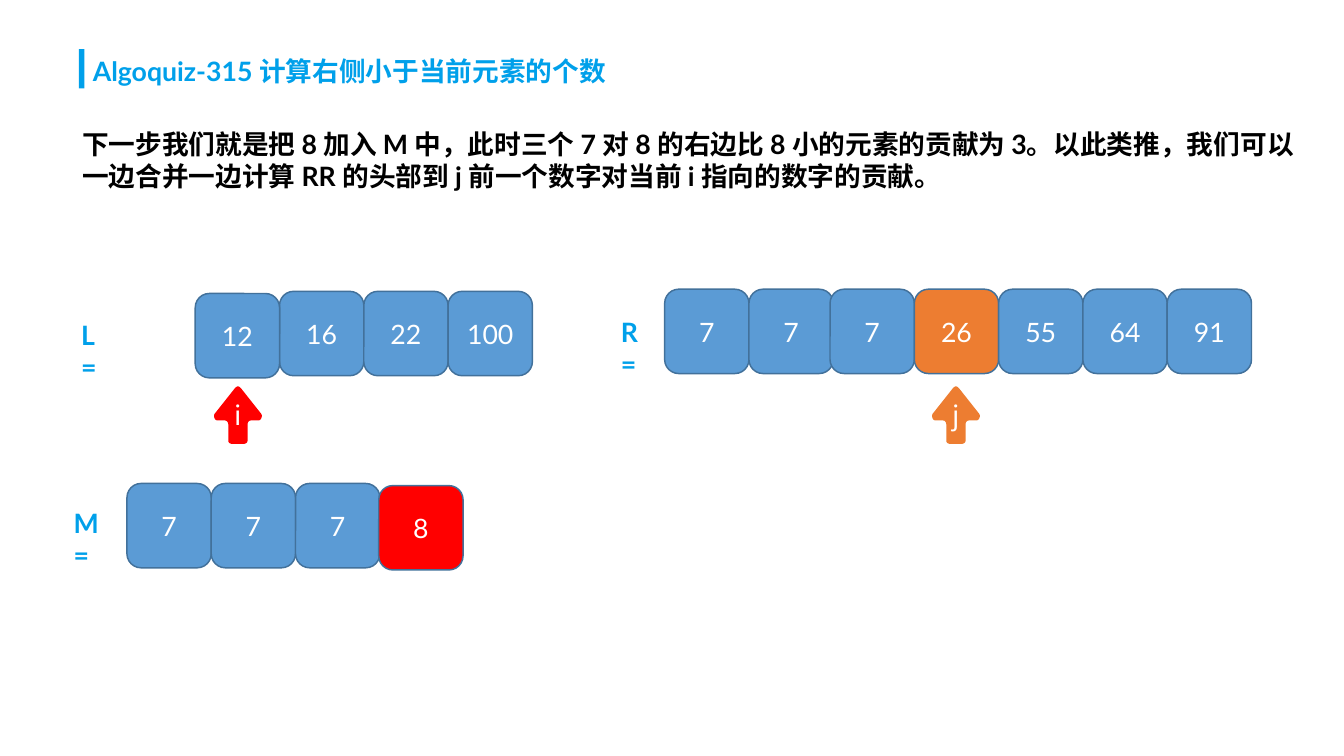
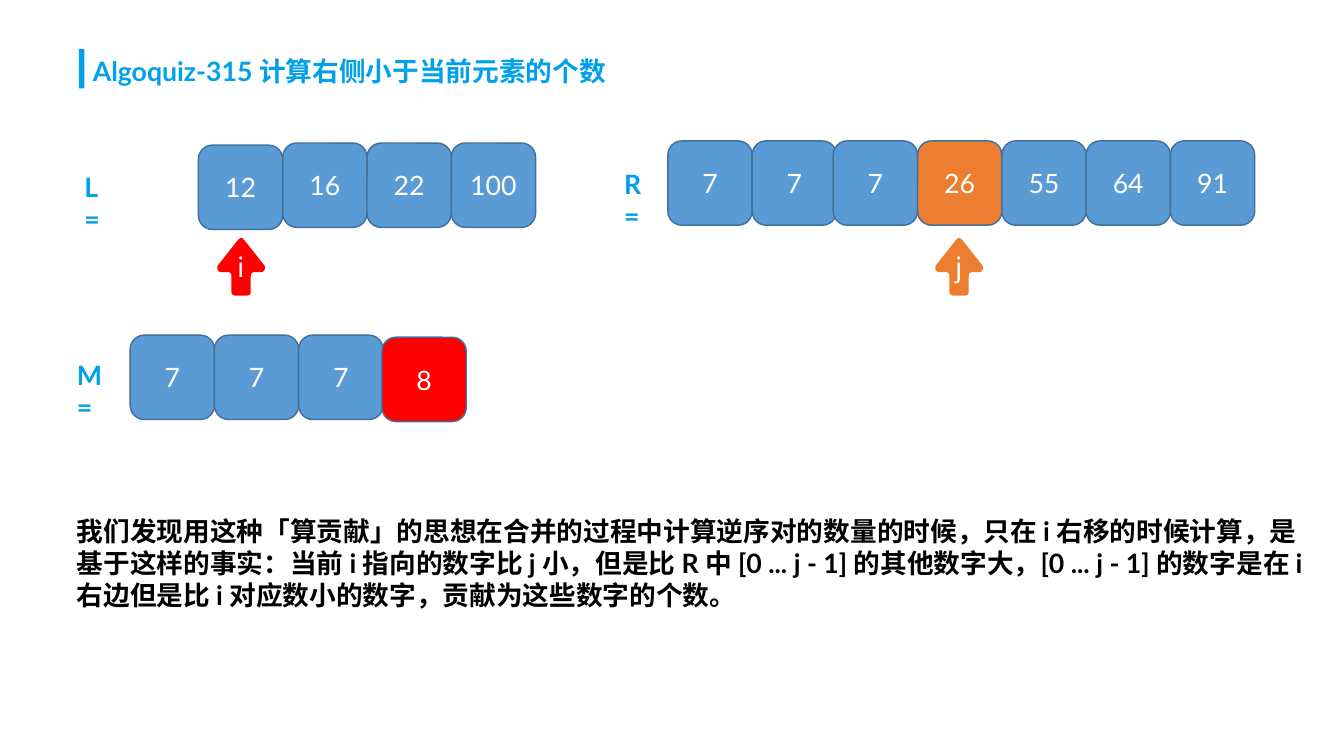
"""Build two slides that trace one merge step while counting smaller elements to the right."""
from dataclasses import dataclass

from lxml.etree import SubElement
from pptx import Presentation
from pptx.dml.color import RGBColor
from pptx.enum.shapes import MSO_SHAPE as Shape
from pptx.enum.text import MSO_ANCHOR as Anchor, MSO_AUTO_SIZE as AutoSize, PP_ALIGN as Align
from pptx.oxml.ns import qn
from pptx.util import Inches, Pt

BLUE, CELL_BLUE, CELL_EDGE = "00A0EA", "5B9BD5", "42719B"
ORANGE, RED, WHITE, BLACK = "ED7D31", "FF0000", "FFFFFF", "000000"
LATIN_FONT, CHINESE_FONT = "Lato", "Noto Sans CJK SC"
CELL_SIZE = 0.79
INSET = 0.05
CURVE_STEPS = 6
TITLE = "Algoquiz-315 计算右侧小于当前元素的个数"


@dataclass(frozen=True)
class Label:
    """A bold text box."""
    text: str
    left: float
    top: float
    width: float
    height: float
    color: str = BLUE


@dataclass(frozen=True)
class CellRun:
    """Adjoining array cells that share one top edge and one fill."""
    values: tuple
    left: float
    top: float
    fill: str = CELL_BLUE


@dataclass(frozen=True)
class Pointer:
    """An index arrow under a cell, placed by the middle of its tip."""
    name: str
    center: float
    top: float
    fill: str


@dataclass(frozen=True)
class Page:
    """The explanation of a slide and the offset of its array figure."""
    explanation: Label
    shift_x: float
    shift_y: float


ARRAY_NAMES = (
    Label("L=", 0.71, 2.94, 0.33, 0.4),
    Label("R=", 5.77, 2.91, 0.37, 0.4),
    Label("M=", 0.64, 4.7, 0.45, 0.4),
)
CELL_RUNS = (
    CellRun(("16", "22", "100"), 2.62, 2.73),
    CellRun(("12",), 1.83, 2.75),
    CellRun(("7", "7"), 6.23, 2.71),
    CellRun(("7",), 7.78, 2.71),
    CellRun(("26",), 8.57, 2.71, ORANGE),
    CellRun(("55", "64", "91"), 9.36, 2.71),
    CellRun(("7", "7", "7"), 1.19, 4.53),
    CellRun(("8",), 3.55, 4.55, RED),
)
POINTERS = (Pointer("i", 2.23, 3.62, RED), Pointer("j", 8.96, 3.62, ORANGE))
ARROW_CORNERS = (
    ((0.05, 0.54), (0.07, 0.54), (0.09, 0.53), (0.09, 0.51)),
    ((0.09, 0.36), (0.09, 0.34), (0.1, 0.32), (0.12, 0.32)),
    ((0.19, 0.32), (0.22, 0.32), (0.23, 0.28), (0.22, 0.26)),
    ((0.03, 0.02), (0.02, 0.01), (0.01, 0), (0, 0)),
)
PAGES = (
    Page(Label(
        "下一步我们就是把 8 加入 M 中，此时三个 7 对 8 的右边比 8 小的元素的贡献为 3。"
        "以此类推，我们可以一边合并一边计算 RR 的头部到 j 前一个数字对当前 i 指向的数字的贡献。",
        0.72, 1.15, 11.65, 0.71, BLACK), 0, 0),
    Page(Label(
        "我们发现用这种「算贡献」的思想在合并的过程中计算逆序对的数量的时候，只在 i 右移的时候计算，"
        "是基于这样的事实：当前 i 指向的数字比 j 小，但是比 R 中 [0 ... j - 1] 的其他数字大，"
        "[0 ... j - 1] 的数字是在 i 右边但是比 i 对应数小的数字，贡献为这些数字的个数。",
        0.67, 4.77, 11.65, 1.01, BLACK), 0.03, -1.39),
)


def rgb(color: str) -> RGBColor:
    """Turn a hex string into a colour."""
    return RGBColor.from_string(color)


def write(shape, text: str, color: str, bold: bool = False, font_name: str = LATIN_FONT) -> None:
    """Add one run of text to a shape and set its margins."""
    frame = shape.text_frame
    frame.word_wrap = True
    frame.margin_left = frame.margin_right = Inches(INSET)
    frame.margin_top = frame.margin_bottom = Inches(INSET)
    run = frame.paragraphs[0].add_run()
    run.text = text
    font = run.font
    font.name, font.size, font.bold = font_name, Pt(18), bold
    font.color.rgb = rgb(color)
    SubElement(run._r.get_or_add_rPr(), qn("a:ea")).set("typeface", CHINESE_FONT)


def center_text(shape) -> None:
    """Centre the text of a shape both ways."""
    shape.text_frame.vertical_anchor = Anchor.MIDDLE
    shape.text_frame.paragraphs[0].alignment = Align.CENTER


def paint(shape, fill: str, edge: str | None = None) -> None:
    """Give a shape a flat fill and an optional thin outline."""
    shape.shadow.inherit = False
    shape.fill.solid()
    shape.fill.fore_color.rgb = rgb(fill)
    if edge:
        shape.line.color.rgb = rgb(edge)
        shape.line.width = Pt(1)
    else:
        shape.line.fill.background()


def add_label(slide, label: Label, shift_x: float = 0, shift_y: float = 0) -> None:
    """Draw a bold text box."""
    box = slide.shapes.add_textbox(Inches(label.left + shift_x), Inches(label.top + shift_y),
                                   Inches(label.width), Inches(label.height))
    write(box, label.text, label.color, bold=True)
    box.text_frame.auto_size = AutoSize.SHAPE_TO_FIT_TEXT


def add_cells(slide, run: CellRun, shift_x: float, shift_y: float) -> None:
    """Draw the cells of a run side by side."""
    for index, value in enumerate(run.values):
        cell = slide.shapes.add_shape(
            Shape.ROUNDED_RECTANGLE, Inches(run.left + index * CELL_SIZE + shift_x),
            Inches(run.top + shift_y), Inches(CELL_SIZE), Inches(CELL_SIZE))
        paint(cell, run.fill, CELL_EDGE)
        write(cell, value, WHITE)
        center_text(cell)


def curve_points(corner: tuple) -> list[tuple[float, float]]:
    """Sample a cubic curve at equal parameter steps."""
    points = []
    for step in range(CURVE_STEPS + 1):
        t = step / CURVE_STEPS
        weights = ((1 - t) ** 3, 3 * t * (1 - t) ** 2, 3 * t ** 2 * (1 - t), t ** 3)
        points.append(tuple(sum(weight * point[axis] for weight, point in zip(weights, corner))
                            for axis in (0, 1)))
    return points


def add_pointer(slide, pointer: Pointer, shift_x: float, shift_y: float) -> None:
    """Draw a rounded up arrow by mirroring its right half."""
    right_half = [point for corner in ARROW_CORNERS for point in curve_points(corner)]
    left_half = [(-x, y) for x, y in reversed(right_half[:-1])]
    outline = [(Inches(pointer.center + shift_x + x), Inches(pointer.top + shift_y + y))
               for x, y in right_half + left_half]
    builder = slide.shapes.build_freeform(*outline[0])
    builder.add_line_segments(outline[1:], close=True)
    arrow = builder.convert_to_shape()
    paint(arrow, pointer.fill)
    write(arrow, pointer.name, WHITE, font_name=CHINESE_FONT)
    center_text(arrow)


def add_title(slide) -> None:
    """Draw the title and the bar beside it."""
    bar = slide.shapes.add_shape(Shape.RECTANGLE, Inches(0.74), Inches(0.46),
                                 Inches(0.05), Inches(0.37))
    paint(bar, BLUE)
    add_label(slide, Label(TITLE, 0.82, 0.46, 6.19, 0.71))


def add_page(presentation, page: Page) -> None:
    """Add a slide with its title, array figure and explanation."""
    slide = presentation.slides.add_slide(presentation.slide_layouts[6])
    add_title(slide)
    for draw, items in ((add_label, ARRAY_NAMES), (add_cells, CELL_RUNS), (add_pointer, POINTERS)):
        for item in items:
            draw(slide, item, page.shift_x, page.shift_y)
    add_label(slide, page.explanation)


def main() -> None:
    """Build and save the presentation."""
    presentation = Presentation()
    presentation.slide_width, presentation.slide_height = Pt(907), Pt(510)
    for page in PAGES:
        add_page(presentation, page)
    presentation.save("out.pptx")


if __name__ == "__main__":
    main()
